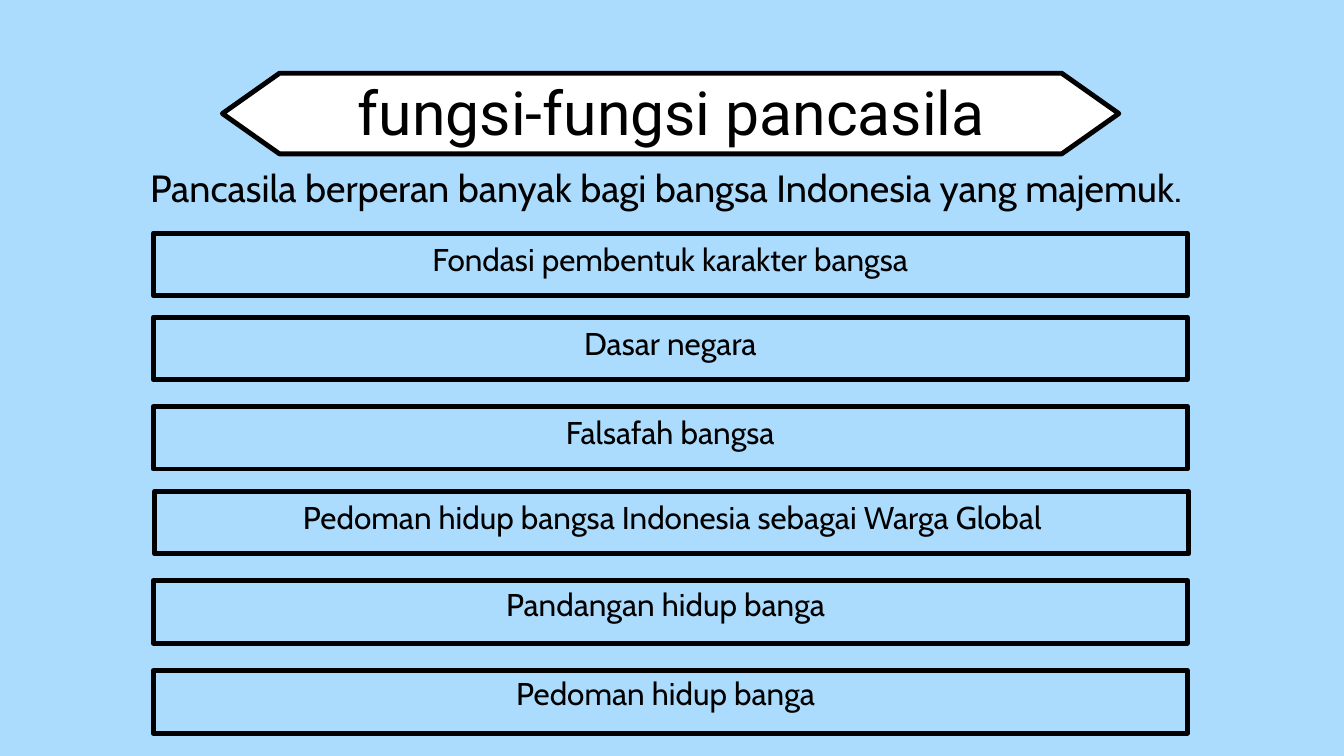
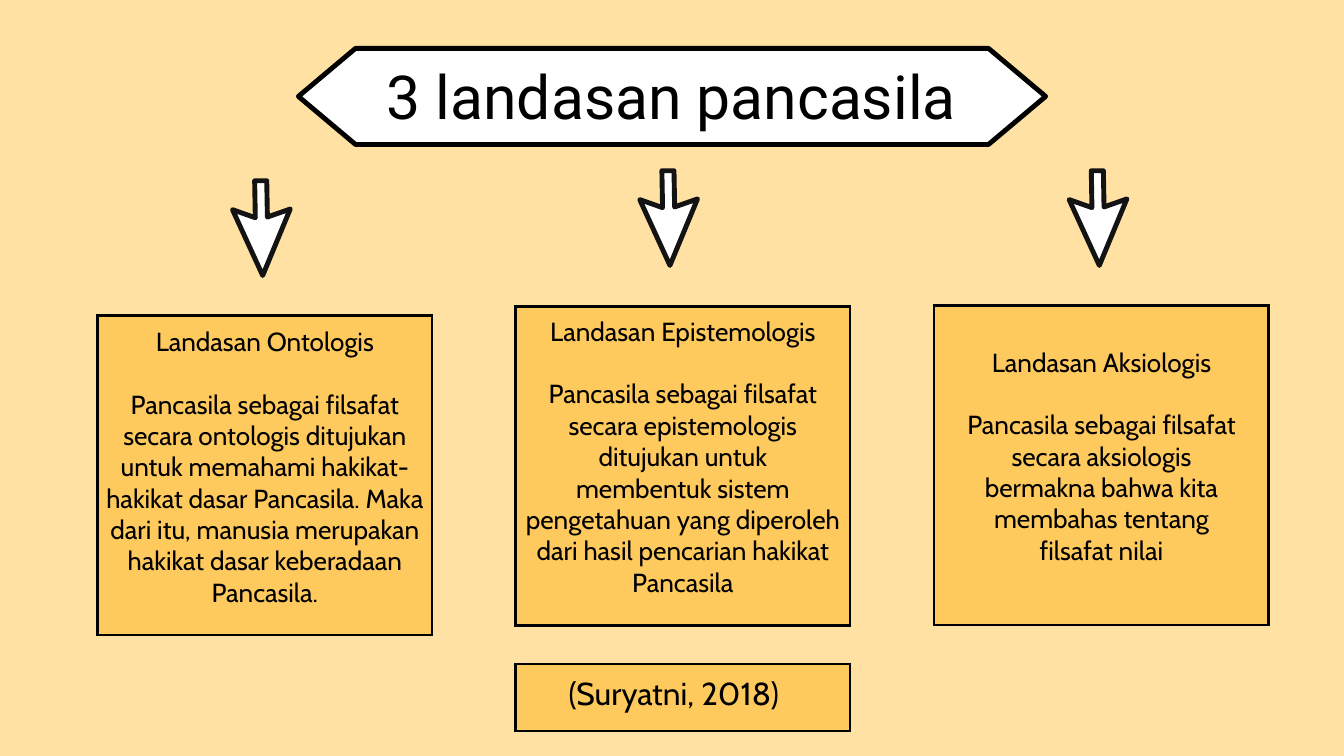
from pptx import Presentation
from pptx.dml.color import RGBColor
from pptx.enum.shapes import MSO_SHAPE
from pptx.enum.text import PP_ALIGN
from pptx.oxml.ns import qn
from pptx.util import Inches, Pt
from lxml import etree

COLORS = {
    "blue": "ACDCFD",
    "cream": "FFE1A4",
    "amber": "FFCA5D",
    "white": "FFFFFF",
    "black": "000000",
    "ink": "141313",
}
BODY_FONT = "Cabin"
TITLE_FONT = "Roboto"
THICK = 5.25
THIN = 3
CARD_WIDTH = 4.98
CARD_INSET = 0.06
CARD_LINE = 33.6

FUNCTIONS = [
    ("Fondasi pembentuk karakter bangsa", 2.28, 3.47, 2.67, 3.66),
    ("Dasar negara", 2.28, 4.72, 2.67, 4.91),
    ("Falsafah bangsa", 2.28, 6.05, 2.67, 6.24),
    ("Pedoman hidup bangsa Indonesia sebagai Warga Global", 2.3, 7.31, 2.7, 7.51),
    ("Pandangan hidup banga", 2.28, 8.64, 2.6, 8.8),
    ("Pedoman hidup banga", 2.28, 9.98, 2.6, 10.13),
]

FOUNDATIONS = [
    (1.45, 4.7, 4.84, 3.46, 2.69, [
        "Landasan Ontologis",
        "Pancasila sebagai filsafat secara ontologis ditujukan untuk memahami "
        "hakikat-hakikat dasar Pancasila. Maka dari itu, manusia merupakan "
        "hakikat dasar keberadaan Pancasila.",
    ]),
    (7.67, 4.56, 4.69, 9.52, 2.54, [
        "Landasan Epistemologis",
        "Pancasila sebagai filsafat secara epistemologis ditujukan untuk",
        "membentuk sistem pengetahuan yang diperoleh dari hasil pencarian "
        "hakikat Pancasila",
    ]),
    (13.9, 4.55, 5.15, 15.91, 2.54, [
        "Landasan Aksiologis",
        "Pancasila sebagai filsafat secara aksiologis",
        "bermakna bahwa kita membahas tentang",
        "filsafat nilai",
    ]),
]


def color(name):
    return RGBColor.from_string(COLORS[name])


def add_slide(presentation, background):
    slide = presentation.slides.add_slide(presentation.slide_layouts[6])
    slide.background.fill.solid()
    slide.background.fill.fore_color.rgb = color(background)
    return slide


def style_shape(shape, fill, line, width, rounded=True):
    shape.shadow.inherit = False
    shape.fill.solid()
    shape.fill.fore_color.rgb = color(fill)
    shape.line.color.rgb = color(line)
    shape.line.width = Pt(width)
    join = etree.SubElement(shape.line._ln, qn("a:round" if rounded else "a:miter"))
    if not rounded:
        join.set("lim", "800000")


def add_box(slide, left, top, width, height, fill, line_width, rounded=True):
    shape = slide.shapes.add_shape(
        MSO_SHAPE.RECTANGLE, Inches(left), Inches(top), Inches(width), Inches(height))
    style_shape(shape, fill, "black", line_width, rounded)


def add_outline(slide, points, line):
    corners = [(Inches(x), Inches(y)) for x, y in points]
    builder = slide.shapes.build_freeform(*corners[0])
    builder.add_line_segments(corners[1:], close=True)
    style_shape(builder.convert_to_shape(), "white", line, THICK)


def add_text(slide, left, top, width, height, lines, size, spacing,
             font=BODY_FONT, heading_gap=0, inset=0):
    text_box = slide.shapes.add_textbox(
        Inches(left), Inches(top), Inches(width), Inches(height))
    frame = text_box.text_frame
    frame.word_wrap = True
    frame.margin_left = frame.margin_right = Inches(inset)
    frame.margin_top = frame.margin_bottom = 0
    frame.text = "\n".join(lines)
    for index, paragraph in enumerate(frame.paragraphs):
        paragraph.alignment = PP_ALIGN.CENTER
        paragraph.line_spacing = Pt(spacing)
        if index == 1:
            paragraph.space_before = Pt(heading_gap)
        paragraph.font.name = font
        paragraph.font.size = Pt(size)
        paragraph.font.color.rgb = color("black")


def add_banner(slide, title, left, top, width, height, text_left, text_top, text_width):
    tip = 0.85
    right, bottom, middle = left + width, top + height, top + height / 2
    add_outline(slide, [
        (left + tip, top), (right - tip, top), (right, middle),
        (right - tip, bottom), (left + tip, bottom), (left, middle),
    ], "black")
    add_text(slide, text_left, text_top, text_width, 1.1, [title], 65, 78, TITLE_FONT)


def add_down_arrow(slide, left, top):
    offsets = [(0, 0.43), (0.45, 1.41), (0.86, 0.42), (0.52, 0.54),
               (0.51, 0), (0.33, 0), (0.34, 0.55)]
    add_outline(slide, [(left + x, top + y) for x, y in offsets], "ink")


def add_function_row(slide, label, left, top, label_left, label_top):
    add_box(slide, left, top, 15.39, 0.93, "blue", THICK)
    add_text(slide, label_left, label_top, 14.61, 0.59, [label], 33.7, 33.7)


def add_foundation(slide, left, top, text_top, arrow_left, arrow_top, lines):
    add_down_arrow(slide, arrow_left, arrow_top)
    add_box(slide, left, top, CARD_WIDTH, 4.75, "amber", THIN, False)
    add_text(slide, left, text_top, CARD_WIDTH, 4.19, lines, 28, CARD_LINE,
             heading_gap=CARD_LINE, inset=CARD_INSET)


def build_functions_slide(presentation):
    slide = add_slide(presentation, "blue")
    add_banner(slide, "fungsi-fungsi pancasila", 3.31, 1.09, 13.34, 1.2, 3.4, 1.12, 13.19)
    add_text(slide, 0.26, 2.45, 19.3, 0.78,
             ["Pancasila berperan banyak bagi bangsa Indonesia yang majemuk."], 40.6, 48.8)
    for row in FUNCTIONS:
        add_function_row(slide, *row)


def build_foundations_slide(presentation):
    slide = add_slide(presentation, "cream")
    add_banner(slide, "3 landasan pancasila", 4.44, 0.72, 11.12, 1.43, 5.62, 0.87, 8.75)
    for foundation in FOUNDATIONS:
        add_foundation(slide, *foundation)
    add_box(slide, 7.67, 9.88, CARD_WIDTH, 1, "amber", THIN, False)
    add_text(slide, 5.83, 10.02, 8.39, 0.67, ["(Suryatni, 2018)"], 34, 40.8)


def main():
    presentation = Presentation()
    presentation.slide_width = Inches(20)
    presentation.slide_height = Inches(11.25)
    build_functions_slide(presentation)
    build_foundations_slide(presentation)
    presentation.save("out.pptx")


if __name__ == "__main__":
    main()
